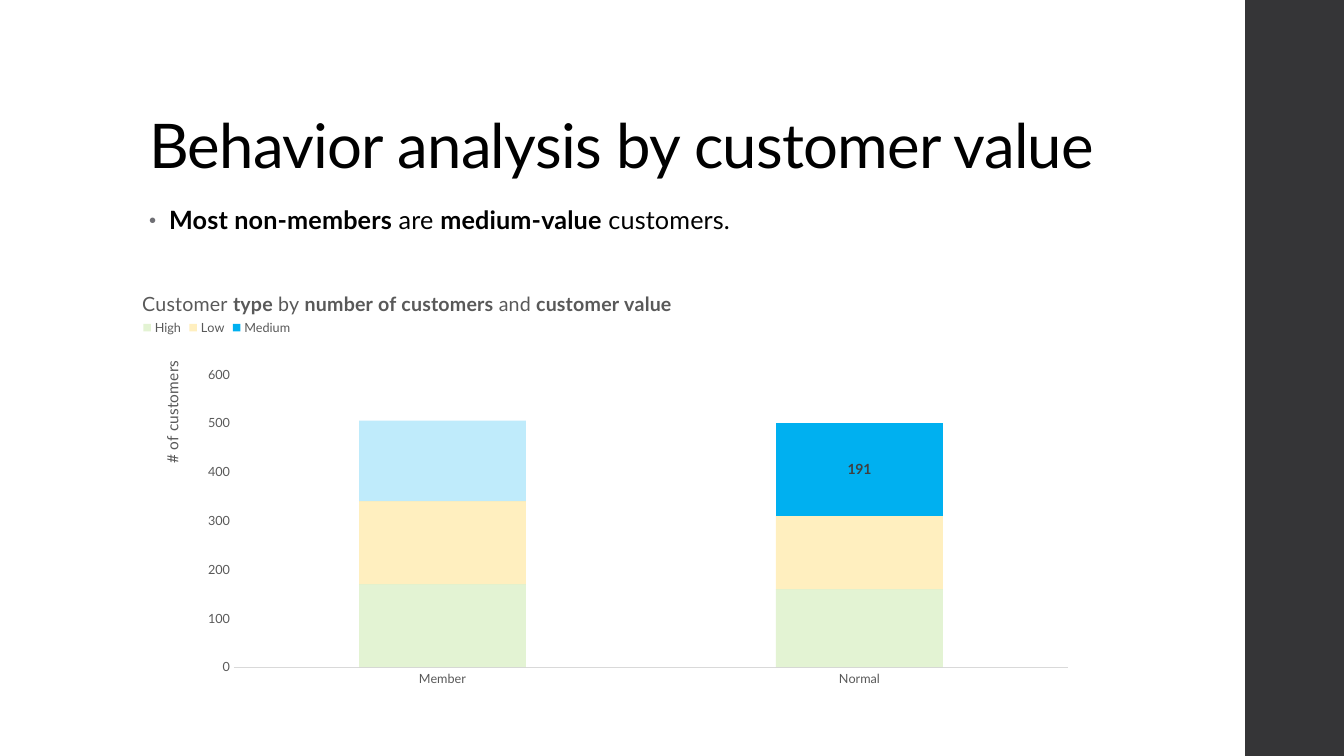
"""Build a slide on customer behavior with a stacked column chart."""
from lxml.etree import SubElement
from pptx import Presentation
from pptx.chart.data import CategoryChartData as Data
from pptx.dml.color import RGBColor
from pptx.enum.chart import XL_CHART_TYPE as Kind, XL_LABEL_POSITION as Spot
from pptx.enum.chart import XL_LEGEND_POSITION as Side, XL_TICK_MARK as Tick
from pptx.enum.shapes import MSO_SHAPE as Form
from pptx.enum.text import MSO_ANCHOR as Anchor
from pptx.oxml import parse_xml
from pptx.oxml.ns import nsdecls, qn
from pptx.util import Inches, Pt

BLACK = RGBColor(0x00, 0x00, 0x00)
DARK = RGBColor(0x35, 0x35, 0x37)
TEXT = RGBColor(0x40, 0x40, 0x40)
GRAY = RGBColor(0x59, 0x59, 0x59)
RULE = RGBColor(0xD9, 0xD9, 0xD9)
GREEN = RGBColor(0x92, 0xD0, 0x50)
GOLD = RGBColor(0xFF, 0xC0, 0x00)
BLUE = RGBColor(0x00, 0xB0, 0xF0)
FACE = "Lato"


def style(font, size, color, bold=None):
    font.name, font.size, font.bold = FACE, Pt(size), bold
    font.color.rgb = color


def place(node, index, **share):
    for old in node.findall(qn("c:layout")):
        node.remove(old)
    layout = parse_xml(f"<c:layout {nsdecls('c')}><c:manualLayout/></c:layout>")
    if "w" in share:
        SubElement(layout[0], qn("c:layoutTarget")).set("val", "inner")
    for key in share:
        SubElement(layout[0], qn(f"c:{key}Mode")).set("val", "edge" if key in "xy" else "factor")
    for key, value in share.items():
        SubElement(layout[0], qn(f"c:{key}")).set("val", str(value))
    node.insert(index, layout)


deck = Presentation()
deck.slide_width, deck.slide_height = Inches(13.33), Inches(7.5)
slide = deck.slides.add_slide(deck.slide_layouts[6])
shapes = slide.shapes
left, wide = Inches(1.38), Inches(9.4)

edge = Inches(12.35)
bar = shapes.add_shape(Form.RECTANGLE, edge, 0, deck.slide_width - edge, deck.slide_height)
bar.shadow.inherit = False
bar.fill.solid()
bar.fill.fore_color.rgb = DARK
bar.line.fill.background()

body = shapes.add_textbox(left, Inches(2), wide, Inches(4.76)).text_frame
body.word_wrap = True
point = body.paragraphs[0]
point.line_spacing = 0.95
point.space_after = Pt(2)
props = point._p.get_or_add_pPr()
props.set("marL", str(Inches(0.2)))
props.set("indent", str(Inches(-0.2)))
tint = SubElement(props, qn("a:buClr"))
SubElement(tint, qn("a:srgbClr")).set("val", "6F6F74")
SubElement(props, qn("a:buSzPct")).set("val", "80000")
SubElement(props, qn("a:buFont")).set("typeface", "Arial")
SubElement(props, qn("a:buChar")).set("char", "•")
for i, part in enumerate(["Most non-members ", "are ", "medium-value", " customers."]):
    run = point.add_run()
    run.text = part
    style(run.font, 18, BLACK, i % 2 == 0)
    run.font._element.set("spc", "10")

data = Data()
data.categories = ["Member", "Normal"]
data.add_series("High", [170, 160])
data.add_series("Low", [170, 150])
data.add_series("Medium", [165, 191])
frame = shapes.add_chart(Kind.COLUMN_STACKED, left, Inches(2.76), wide, Inches(4.15), data)
chart = frame.chart
style(chart.font, 10, BLACK)
plot = chart.plots[0]
plot.gap_width, plot.overlap, plot.vary_by_categories = 150, 100, False
high, low, medium = plot.series
paints = [(high, GREEN, True), (low, GOLD, True), (medium, BLUE, False),
          (medium.points[0], BLUE, True)]
for item, color, faded in paints:
    fill = item.format.fill
    fill.solid()
    fill.fore_color.rgb = color
    if faded:
        shade = item.format._element if hasattr(item.format, "_element") else None
        shade = fill._xPr.find(qn("a:solidFill"))[0]
        SubElement(shade, qn("a:alpha")).set("val", "25000")

labels = medium.data_labels
labels.show_value = True
labels.position = Spot.CENTER
style(labels.font, 10, TEXT, True)
labels._element.insert(0, parse_xml(
    f'<c:dLbl {nsdecls("c")}><c:idx val="0"/><c:delete val="1"/></c:dLbl>'))

cats, vals = chart.category_axis, chart.value_axis
for axis in (cats, vals):
    axis.major_tick_mark = axis.minor_tick_mark = Tick.NONE
    axis.has_major_gridlines = False
    style(axis.tick_labels.font, 9, GRAY)
cats.format.line.color.rgb = RULE
cats.format.line.width = Pt(0.75)
vals.format.line.fill.background()
vals.minimum_scale, vals.maximum_scale, vals.major_unit = 0, 600, 100

chart.has_title = True
head = chart.chart_title.text_frame.paragraphs[0]
parts = ["Customer ", "type", " by ", "number of customers", " and ", "customer value"]
for i, part in enumerate(parts):
    run = head.add_run()
    run.text = part
    style(run.font, 14, GRAY, i % 2 == 1)

name = vals.axis_title.text_frame
name.text = "# of customers"
style(name.paragraphs[0].runs[0].font, 11, GRAY, False)
turn = name._txBody.bodyPr
turn.set("rot", "-5400000")
turn.set("vert", "horz")

chart.has_legend = True
legend = chart.legend
legend.position = Side.TOP
legend.include_in_layout = False
style(legend.font, 9, GRAY)

place(chart.chart_title._element, 1, x=0, y=0.02)
place(vals.axis_title._element, 1, x=0.02, y=0.19)
place(legend._element, 1, x=0, y=0.09)
place(chart._chartSpace.chart.plotArea, 0, x=0.1, y=0.23, w=0.88, h=0.7)

title = shapes.add_textbox(left, Inches(0.4), Inches(10.6), Inches(1.45)).text_frame
title.word_wrap = True
title.vertical_anchor = Anchor.BOTTOM
title.text = "Behavior analysis by customer value"
line = title.paragraphs[0]
line.line_spacing = 0.9
font = line.runs[0].font
style(font, 44, BLACK)
font._element.set("spc", "-50")

deck.save("out.pptx")
